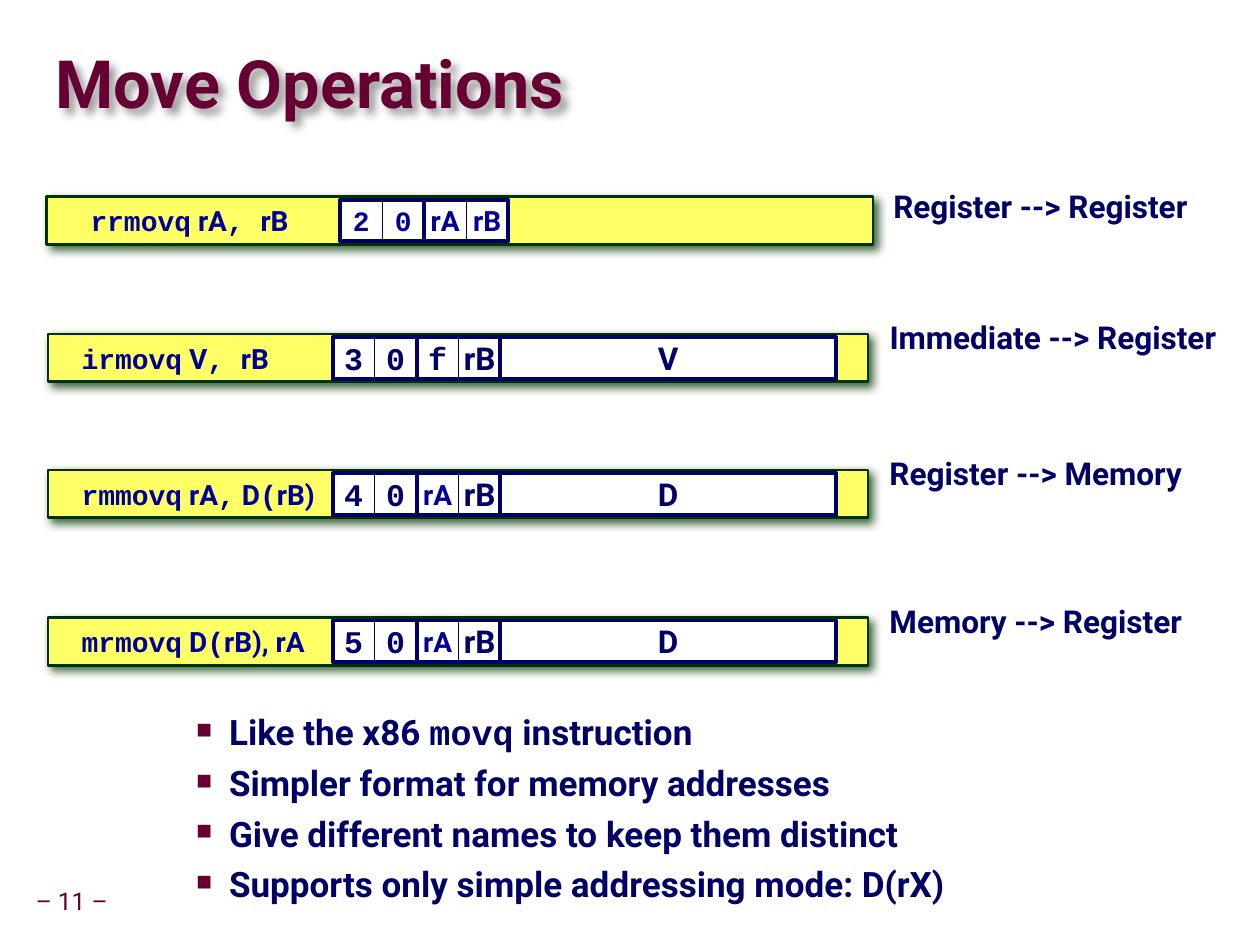
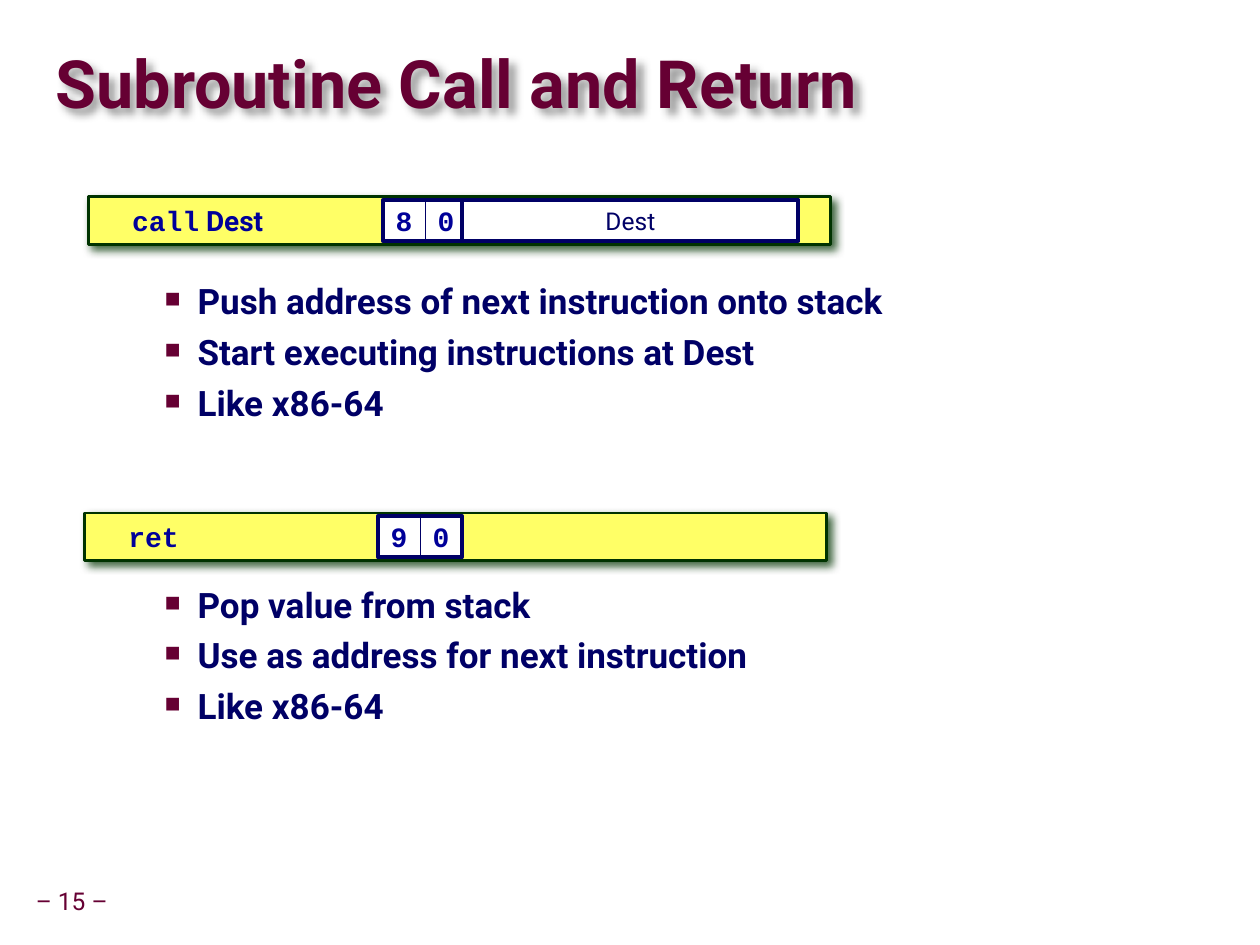
from dataclasses import dataclass
from typing import NamedTuple, Optional

from lxml.etree import SubElement
from pptx import Presentation
from pptx.dml.color import RGBColor
from pptx.enum.shapes import MSO_SHAPE as Preset
from pptx.enum.text import MSO_ANCHOR as Anchor, MSO_AUTO_SIZE as AutoSize, PP_ALIGN as Align
from pptx.oxml.ns import qn
from pptx.util import Emu, Inches, Pt


class TextStyle(NamedTuple):
    size: int
    color: str
    bold: bool = True


@dataclass(frozen=True)
class Theme:
    font: str = "Roboto"
    code_font: str = "Courier New"
    maroon: str = "660033"
    navy: str = "000066"
    green: str = "003300"
    yellow: str = "FFFF66"
    white: str = "FFFFFF"
    title: TextStyle = TextStyle(38, "660033")
    bullet: TextStyle = TextStyle(20, "000066")
    caption: TextStyle = TextStyle(18, "000066")
    code: TextStyle = TextStyle(16, "000099")
    field: TextStyle = TextStyle(18, "000066")
    plain: TextStyle = TextStyle(14, "000066", False)
    footer: TextStyle = TextStyle(14, "660033", False)


class Shadow(NamedTuple):
    color: str
    opacity: int
    blur: float
    distance: float


class Box(NamedTuple):
    left: float
    top: float
    width: float
    height: float


class Field(NamedTuple):
    text: str
    style: TextStyle


class Constant(NamedTuple):
    left: float
    field: Field


@dataclass(frozen=True)
class Instruction:
    """One encoding row; each pair of nibbles forms a byte."""
    band: Box
    label: str
    label_left: float
    fields_left: float
    byte_pairs: tuple[tuple[Field, Field], ...]
    constant: Optional[Constant] = None


class Caption(NamedTuple):
    left: float
    top: float
    width: float
    text: str


class BulletList(NamedTuple):
    box: Box
    items: tuple[str, ...]


@dataclass(frozen=True)
class Page:
    title: str
    number: int
    instructions: tuple[Instruction, ...]
    bullet_lists: tuple[BulletList, ...]
    captions: tuple[Caption, ...] = ()


THEME = Theme()
BAND_SHADOW = Shadow(THEME.green, 75, 5, 3)
TITLE_SHADOW = Shadow("000000", 40, 5, 4)
NIBBLE = 1 / 3
CONSTANT_WIDTH = 8 * NIBBLE
FIELD_HEIGHT = 0.33
BAND_HEIGHT = 0.38
LABEL_WIDTH = 2.09
THIN, THICK, BAND_LINE = 0.5, 2.25, 1.5


def place(box: Box) -> tuple[Emu, ...]:
    return tuple(Inches(value) for value in box)


def write(para, text: str, style: TextStyle) -> None:
    """Fill a paragraph; the parts between backticks use the code font."""
    for index, part in enumerate(text.split("`")):
        if part:
            span = para.add_run()
            span.text = part
            span.font.name = THEME.code_font if index % 2 else THEME.font
            span.font.size = Pt(style.size)
            span.font.bold = style.bold
            span.font.color.rgb = RGBColor.from_string(style.color)


def set_insets(frame, horizontal: float, vertical: float) -> None:
    frame.margin_left = frame.margin_right = Inches(horizontal)
    frame.margin_top = frame.margin_bottom = Inches(vertical)


def set_shadow(shape, shadow: Shadow) -> None:
    shape.shadow.inherit = False
    effects = shape._element.spPr.find(qn("a:effectLst"))
    outer = SubElement(effects, qn("a:outerShdw"), blurRad=str(Pt(shadow.blur)),
                       dist=str(Pt(shadow.distance)), dir="2700000",
                       algn="ctr", rotWithShape="0")
    color = SubElement(outer, qn("a:srgbClr"), val=shadow.color)
    SubElement(color, qn("a:alpha"), val=str(shadow.opacity * 1000))


def add_rectangle(page, box: Box, fill: Optional[str], line: str, weight: float):
    shape = page.shapes.add_shape(Preset.RECTANGLE, *place(box))
    shape.shadow.inherit = False
    if fill:
        shape.fill.solid()
        shape.fill.fore_color.rgb = RGBColor.from_string(fill)
    else:
        shape.fill.background()
    shape.line.color.rgb = RGBColor.from_string(line)
    shape.line.width = Pt(weight)
    return shape


def add_line_of_text(page, box: Box, text: str, style: TextStyle,
                     align: Align = Align.LEFT, anchor: Anchor = Anchor.MIDDLE,
                     inset: float = 0.1, spacing: float = 1.0) -> None:
    frame = page.shapes.add_textbox(*place(box)).text_frame
    frame.word_wrap = False
    frame.vertical_anchor = anchor
    set_insets(frame, inset, 0.05)
    para = frame.paragraphs[0]
    para.alignment = align
    para.line_spacing = spacing
    write(para, text, style)


def add_field(page, box: Box, field: Field, weight: float) -> None:
    frame = add_rectangle(page, box, THEME.white, THEME.navy, weight).text_frame
    frame.word_wrap = False
    frame.vertical_anchor = Anchor.MIDDLE
    set_insets(frame, 0.1, 0.05)
    frame.paragraphs[0].alignment = Align.CENTER
    write(frame.paragraphs[0], field.text, field.style)


def add_instruction(page, row: Instruction) -> None:
    band = add_rectangle(page, row.band, THEME.yellow, THEME.green, BAND_LINE)
    set_shadow(band, BAND_SHADOW)
    top = row.band.top + (BAND_HEIGHT - FIELD_HEIGHT) / 2
    add_line_of_text(page, Box(row.label_left, top, LABEL_WIDTH, FIELD_HEIGHT),
                     row.label, THEME.code)
    for index, pair in enumerate(row.byte_pairs):
        left = row.fields_left + index * 2 * NIBBLE
        for offset, field in enumerate(pair):
            add_field(page, Box(left + offset * NIBBLE, top, NIBBLE, FIELD_HEIGHT),
                      field, THIN)
        add_rectangle(page, Box(left, top, 2 * NIBBLE, FIELD_HEIGHT),
                      None, THEME.navy, THICK)
    if row.constant:
        add_field(page, Box(row.constant.left, top, CONSTANT_WIDTH, FIELD_HEIGHT),
                  row.constant.field, THICK)


def add_bullets(page, bullets: BulletList) -> None:
    frame = page.shapes.add_textbox(*place(bullets.box)).text_frame
    frame.word_wrap = True
    set_insets(frame, 0.1, 0.05)
    for index, item in enumerate(bullets.items):
        para = frame.add_paragraph() if index else frame.paragraphs[0]
        para.level = 1
        if index:
            para.space_before = Pt(5)
        write(para, item, THEME.bullet)
        props = para._p.get_or_add_pPr()
        props.set("marL", str(Inches(0.8)))
        props.set("indent", str(Inches(-0.26)))
        color = SubElement(props, qn("a:buClr"))
        SubElement(color, qn("a:srgbClr"), val=THEME.maroon)
        SubElement(props, qn("a:buSzPct"), val="75000")
        SubElement(props, qn("a:buFont"), typeface=THEME.code_font)
        SubElement(props, qn("a:buChar"), char="■")


def set_title(page, text: str) -> None:
    title = page.shapes.title
    title.left, title.top, title.width, title.height = place(Box(0.44, 0.27, 9.53, 0.85))
    set_shadow(title, TITLE_SHADOW)
    frame = title.text_frame
    frame.auto_size = AutoSize.NONE
    frame.word_wrap = True
    frame.vertical_anchor = Anchor.MIDDLE
    set_insets(frame, 0, 0)
    para = frame.paragraphs[0]
    para.alignment = Align.LEFT
    para.line_spacing = 0.87
    write(para, text, THEME.title)


def add_page(deck, content: Page) -> None:
    page = deck.slides.add_slide(deck.slide_layouts[5])
    set_title(page, content.title)
    add_line_of_text(page, Box(0.23, 7, 0.68, 0.32), f"– {content.number} –",
                     THEME.footer, Align.CENTER, inset=0.05, spacing=0.9)
    for bullets in content.bullet_lists:
        add_bullets(page, bullets)
    for row in content.instructions:
        add_instruction(page, row)
    for caption in content.captions:
        add_line_of_text(page, Box(caption.left, caption.top, caption.width, 0.38),
                         caption.text, THEME.caption, anchor=Anchor.TOP,
                         inset=0.05, spacing=0.9)


def code_pair(first: str, second: str) -> tuple[Field, Field]:
    return Field(first, THEME.code), Field(second, THEME.code)


def move_with_constant(top: float, label: str, opcode: str, source: Field,
                       constant: str) -> Instruction:
    opcode_pair = Field(f"`{opcode}`", THEME.field), Field("`0`", THEME.field)
    register_pair = source, Field("rB", THEME.field)
    return Instruction(Box(0.38, top, 6.51, BAND_HEIGHT), label, 0.55, 2.64,
                       (opcode_pair, register_pair),
                       Constant(3.97, Field(constant, THEME.field)))


REGISTER_A = Field("rA", THEME.code)

MOVES = Page(
    "Move Operations", 11,
    instructions=(
        Instruction(Box(0.37, 1.56, 6.56, BAND_HEIGHT), "`rrmovq` rA`, `rB", 0.62, 2.7,
                    (code_pair("`2`", "`0`"), code_pair("rA", "rB"))),
        move_with_constant(2.65, "`irmovq` V`, `rB", "3", Field("`f`", THEME.field), "V"),
        move_with_constant(3.73, "`rmmovq` rA`,` D`(`rB)", "4", REGISTER_A, "D"),
        move_with_constant(4.9, "`mrmovq` D`(`rB), rA", "5", REGISTER_A, "D"),
    ),
    bullet_lists=(BulletList(Box(0.92, 5.59, 8.43, 1.7), (
        "Like the x86 `movq` instruction",
        "Simpler format for memory addresses",
        "Give different names to keep them distinct",
        "Supports only simple addressing mode: D(rX)",
    )),),
    captions=(
        Caption(7.04, 1.47, 2.58, "Register --> Register"),
        Caption(7.01, 2.51, 2.82, "Immediate --> Register"),
        Caption(7.01, 3.59, 2.56, "Register --> Memory"),
        Caption(7.01, 4.76, 2.54, "Memory --> Register"),
    ),
)

SUBROUTINES = Page(
    "Subroutine Call and Return", 15,
    instructions=(
        Instruction(Box(0.7, 1.56, 5.89, BAND_HEIGHT), "`call` Dest", 0.95, 3.04,
                    (code_pair("`8`", "`0`"),),
                    Constant(3.67, Field("Dest", THEME.plain))),
        Instruction(Box(0.67, 4.07, 5.89, BAND_HEIGHT), "`ret`", 0.92, 3.0,
                    (code_pair("`9`", "`0`"),)),
    ),
    bullet_lists=(
        BulletList(Box(0.67, 2.17, 8.43, 1.3), (
            "Push address of next instruction onto stack",
            "Start executing instructions at Dest",
            "Like x86-64",
        )),
        BulletList(Box(0.67, 4.58, 8.43, 1.3), (
            "Pop value from stack",
            "Use as address for next instruction",
            "Like x86-64",
        )),
    ),
)


def main() -> None:
    deck = Presentation()
    deck.slide_width, deck.slide_height = Inches(10), Inches(7.5)
    for content in (MOVES, SUBROUTINES):
        add_page(deck, content)
    deck.save("out.pptx")


if __name__ == "__main__":
    main()
